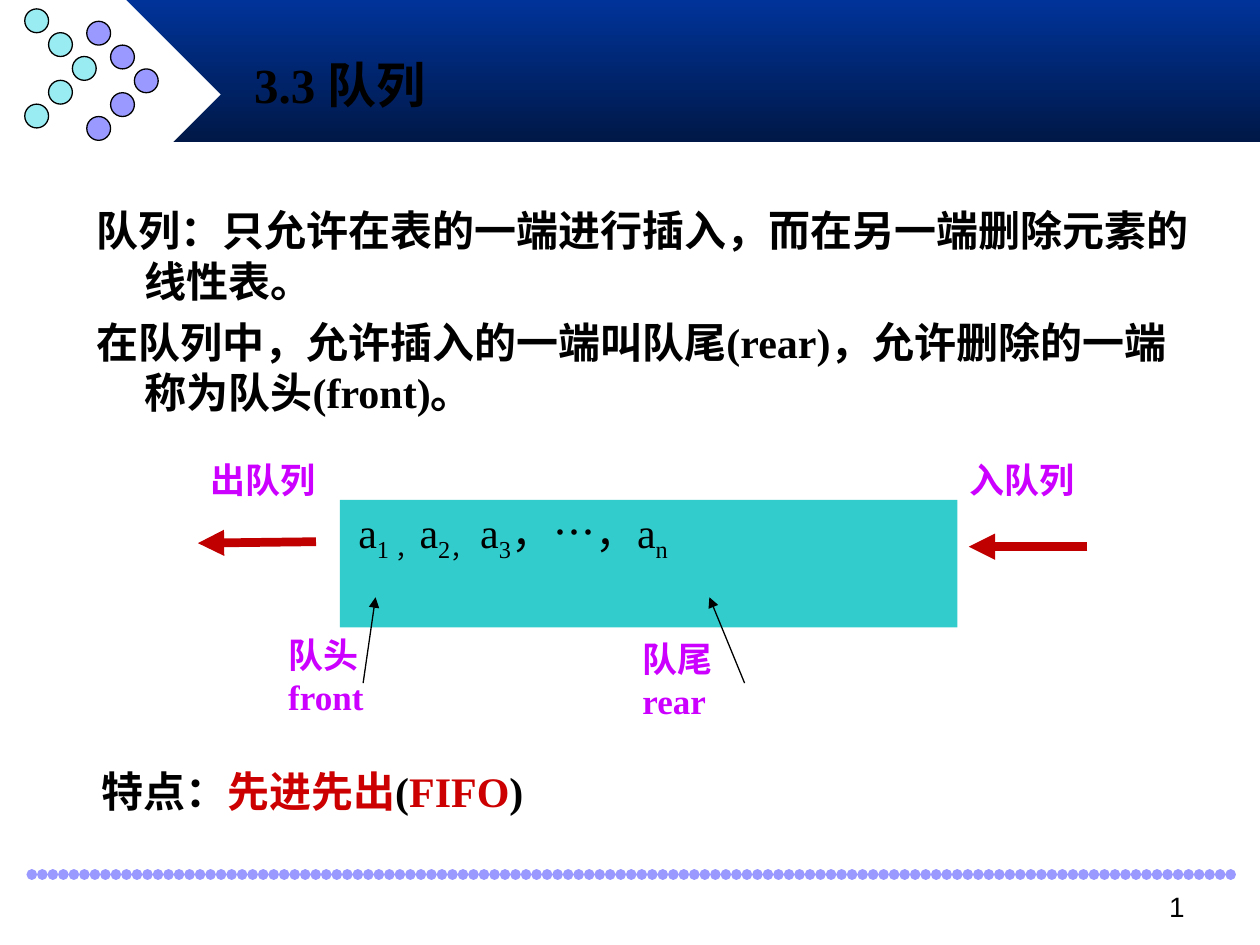
from pptx import Presentation, util as u
from pptx.dml.color import RGBColor
from pptx.enum import lang, shapes, text
from pptx.oxml.ns import qn
from lxml import etree

# Theme: colours, type sizes, fonts
THEME = dict(
    black="000000", white="FFFFFF", band_top="003399", band_bottom="001847",
    violet="9999FF", aqua="98ECF2", queue="33CCCC", arrow="C00000",
    label="CC00FF", accent="CC0000",
    title=28, body=24, note=20, number=16,
    serif="Times New Roman", sans="Arial", cjk="Noto Sans CJK SC",
)

# Content (lengths in cm); a run is (text, {what differs})
TITLE = [("3.3 ", {}), ("队列", {"font": "cjk"})]
DEFINITIONS = [
    [("队列：只允许在表的一端进行插入，而在另一端删除元素的线性表。", {})],
    [("在队列中，允许插入的一端叫队尾(rear)，允许删除的一端称为队头(front)。", {})],
]
FEATURE = [("特点：", {}), ("先进先出", {"color": "accent"}), ("(", {}),
           ("FIFO", {"color": "accent"}), (")", {})]
SUB = {"sub": True}
ELEMENTS = [(" ", SUB), ("a", {}), ("1 ，", SUB), ("a", {}), ("2， ", SUB),
            ("a", {}), ("3", SUB), ("，…，a", {}), ("n", SUB)]
LABELS = [
    (["出队列"], (3.99, 9.12, 3.1, 1.12)),
    (["入队列"], (19.3, 9.12, 3.1, 1.12)),
    (["队头", "front"], (5.56, 12.65, 2.54, 1.96)),
    (["队尾", "rear"], (12.7, 12.73, 2.31, 1.96)),
]
ARROWS = [  # start, end, colour, width in points
    ((6.37, 10.92), (3.99, 10.95), "arrow", 5),
    ((21.92, 11.02), (19.53, 11.02), "arrow", 5),
    ((7.32, 13.77), (7.57, 12.04), "black", 0.75),
    ((15.01, 13.77), (14.3, 12.04), "black", 0.75),
]
DOT, ZIGZAG = 0.48, (0, 1, 2, 1, 0)
CHEVRONS = [(1.75, 0.43, "violet"), (0.5, 0.18, "aqua")]

prs = Presentation()
prs.slide_width, prs.slide_height = u.Cm(25.4), u.Cm(19.05)
slide = prs.slides.add_slide(prs.slide_layouts[1])


def rgb(name):
    return RGBColor.from_string(THEME[name])


def add_block(kind, box, fill=None, outline=None):
    block = slide.shapes.add_shape(kind, *map(u.Cm, box))
    block.shadow.inherit = False
    if fill:
        block.fill.solid()
        block.fill.fore_color.rgb = rgb(fill)
    if outline:
        block.line.color.rgb = rgb(outline)
        block.line.width = u.Pt(0.75)
    else:
        block.line.fill.background()
    return block


def add_line(start, end, color, width):
    line = slide.shapes.add_connector(
        shapes.MSO_CONNECTOR.STRAIGHT, *map(u.Cm, (*start, *end)))
    line.line.color.rgb = rgb(color)
    line.line.width = u.Pt(width)
    etree.SubElement(line._element.spPr, qn("a:effectLst"))
    return line.line._get_or_add_ln()


def write(holder, paragraphs, size, color="black", font="serif", bold=True,
          align=text.PP_ALIGN.LEFT, hanging=False,
          anchor=text.MSO_ANCHOR.TOP):
    frame = holder.text_frame
    frame.word_wrap = True
    frame.auto_size = text.MSO_AUTO_SIZE.NONE
    frame.vertical_anchor = anchor
    for i, runs in enumerate(paragraphs):
        para = frame.add_paragraph() if i else frame.paragraphs[0]
        para.alignment = align
        para.space_before = u.Pt(6 if hanging else 0)
        props = para._p.get_or_add_pPr()
        if hanging:
            props.set("marL", str(u.Cm(0.97)))
            props.set("indent", str(-u.Cm(0.97)))
            etree.SubElement(props, qn("a:buNone"))
        para.font.name = THEME[font]
        para.font.size = u.Pt(THEME[size])
        para.font.bold = bold
        para.font.color.rgb = rgb(color)
        for words, change in runs:
            run = para.add_run()
            run.text = words
            run.font.language_id = lang.MSO_LANGUAGE_ID.SIMPLIFIED_CHINESE
            if "color" in change:
                run.font.color.rgb = rgb(change["color"])
            if "font" in change:
                run.font.name = THEME[change["font"]]
            if "sub" in change:
                run._r.get_or_add_rPr().set("baseline", "-25000")


def add_text(box, *args, **options):
    write(slide.shapes.add_textbox(*map(u.Cm, box)), *args, **options)


def place(holder, box):
    holder.left, holder.top, holder.width, holder.height = map(u.Cm, box)
    slide.shapes._spTree.append(holder._element)  # bring to front


# Header band with the two dotted chevrons
band = add_block(shapes.MSO_SHAPE.RECTANGLE, (2.54, 0, 22.86, 2.86))
band.fill.gradient()
band.fill.gradient_angle = 270
for stop, shade in zip(band.fill.gradient_stops, ("band_top", "band_bottom")):
    stop.color.rgb = rgb(shade)
add_block(shapes.MSO_SHAPE.DIAMOND, (0.64, 0, 3.81, 3.81), "white")
for left, top, shade in CHEVRONS:
    for row, column in enumerate(ZIGZAG):
        add_block(shapes.MSO_SHAPE.OVAL,
                  (left + column * DOT, top + row * DOT, DOT, DOT),
                  shade, "black")

# Footer: dotted rule and page number
rule = add_line((0.64, 17.63), (24.97, 17.63), "violet", 6)
rule.set("cap", "rnd")
dashes = etree.SubElement(rule, qn("a:custDash"))
etree.SubElement(dashes, qn("a:ds"), d="100000", sp="0")
add_text((18.2, 17.8, 5.93, 1.32), [[("1", {})]], "number", font="sans",
         bold=False, align=text.PP_ALIGN.RIGHT)

# Title and definitions
title, definitions = slide.placeholders
place(title, (4.87, 0.85, 19.05, 1.69))
write(title, [TITLE], "title", anchor=text.MSO_ANCHOR.MIDDLE)
place(definitions, (1.69, 4, 22.9, 5.93))
write(definitions, DEFINITIONS, "body", hanging=True)

# Queue diagram
queue = add_block(shapes.MSO_SHAPE.RECTANGLE, (6.85, 10.08, 12.45, 2.57), "queue")
write(queue, [ELEMENTS], "body", bold=False)
for start, end, color, width in ARROWS:
    etree.SubElement(add_line(start, end, color, width),
                     qn("a:tailEnd"), type="triangle")
for lines, box in LABELS:
    add_text(box, [[(line, {})] for line in lines], "note", color="label")

# Feature
add_text((1.79, 15.3, 22.9, 1.57), [FEATURE], "body", hanging=True)

prs.save("out.pptx")
